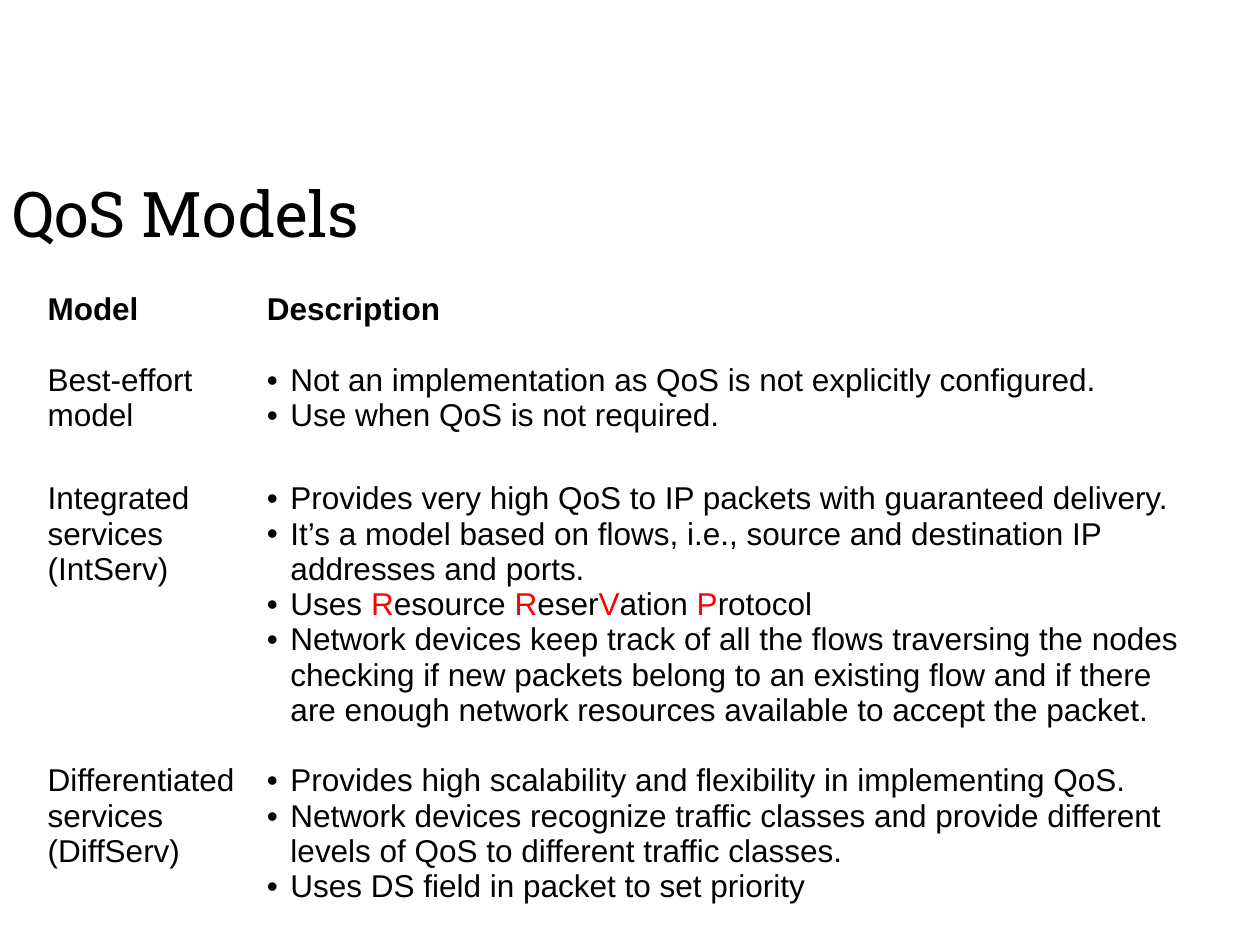
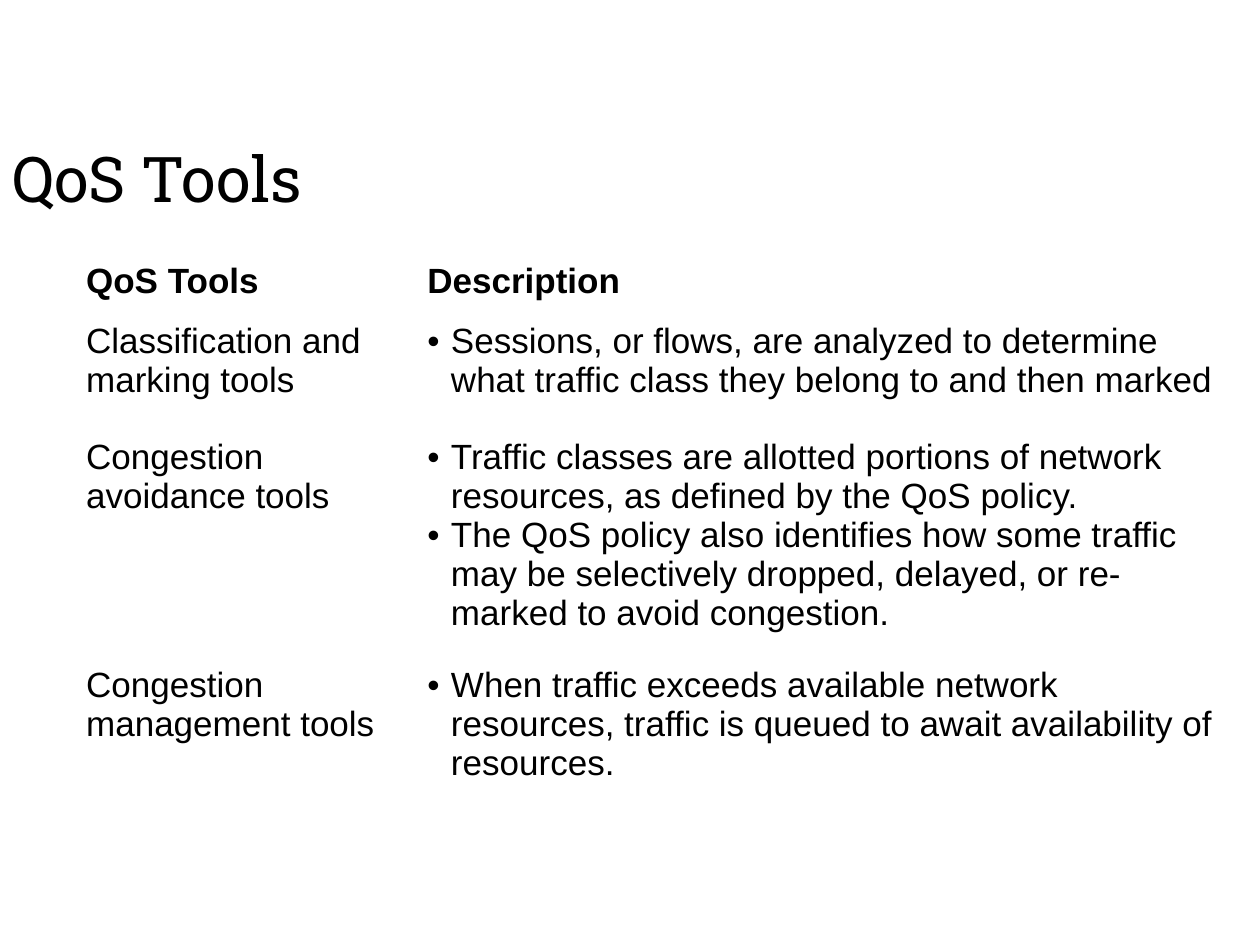
from lxml import etree
from pptx import Presentation
from pptx.dml import color
from pptx.enum import text
from pptx.oxml import ns
from pptx.util import Pt

BLACK, WHITE, RED = "000000", "FFFFFF", "FF0000"
TITLE_FONT, BODY_FONT = "Roboto Slab", "Arial"
TITLE_SIZE = 36
BULLET_INDENT = 13.5
BORDER_SIDES = ("lnL", "lnR", "lnT", "lnB")

MODELS = [
    ("Best-effort model", [
        "Not an implementation as QoS is not explicitly configured.",
        "Use when QoS is not required."]),
    ("Integrated services (IntServ)", [
        "Provides very high QoS to IP packets with guaranteed delivery.",
        "It’s a model based on flows, i.e., source and destination IP addresses and ports.",
        "Uses |R|esource |R|eser|V|ation |P|rotocol",
        "Network devices keep track of all the flows traversing the nodes checking if new "
        "packets belong to an existing flow and if there are enough network resources "
        "available to accept the packet."]),
    ("Differentiated services (DiffServ)", [
        "Provides high scalability and flexibility in implementing QoS.",
        "Network devices recognize traffic classes and provide different levels of QoS to "
        "different traffic classes.",
        "Uses DS field in packet to set priority"]),
]
TOOLS = [
    ("Classification and marking tools", [
        "Sessions, or flows, are analyzed to determine what traffic class they belong to "
        "and then marked"]),
    ("Congestion avoidance tools", [
        "Traffic classes are allotted portions of network resources, as defined by the "
        "QoS policy.",
        "The QoS policy also identifies how some traffic may be selectively dropped, "
        "delayed, or re-marked to avoid congestion."]),
    ("Congestion management tools", [
        "When traffic exceeds available network resources, traffic is queued to await "
        "availability of resources."]),
]


def rgb(hex_string):
    """Return the colour for a hex string."""
    return color.RGBColor.from_string(hex_string)


def add_child(parent, tag, **attributes):
    """Append a drawing element with the given attributes."""
    child = etree.SubElement(parent, ns.qn(f"a:{tag}"))
    for name, value in attributes.items():
        child.set(name, str(value))
    return child


def format_run(run, font, size, hex_color=BLACK, bold=False):
    """Set the font, size, colour and weight of a run."""
    run.font.name = font
    run.font.size = Pt(size)
    run.font.bold = bold
    run.font.color.rgb = rgb(hex_color)


def add_title(slide, title, top):
    """Add the slide title, centred vertically in its box."""
    shape = slide.shapes.add_textbox(0, Pt(top), Pt(657.4), Pt(77))
    frame = shape.text_frame
    frame.word_wrap = True
    frame.vertical_anchor = text.MSO_ANCHOR.MIDDLE
    frame.text = title
    format_run(frame.paragraphs[0].runs[0], TITLE_FONT, TITLE_SIZE)


def add_bullet(paragraph):
    """Give a paragraph a round bullet with a hanging indent."""
    properties = paragraph._p.get_or_add_pPr()
    properties.set("marL", str(Pt(BULLET_INDENT)))
    properties.set("indent", str(Pt(-BULLET_INDENT)))
    add_child(properties, "buFont", typeface=BODY_FONT)
    add_child(properties, "buChar", char="•")


def style_cell(cell, header):
    """Set the margins, white borders and white fill of a cell."""
    cell.margin_left = cell.margin_right = Pt(7.2)
    cell.margin_top = cell.margin_bottom = Pt(5)
    properties = cell._tc.get_or_add_tcPr()
    for side in BORDER_SIDES:
        width = 3 if header and side == "lnB" else 1
        line = add_child(properties, side, w=Pt(width))
        add_child(add_child(line, "solidFill"), "srgbClr", val=WHITE)
    cell.fill.solid()
    cell.fill.fore_color.rgb = rgb(WHITE)


def fill_cell(cell, lines, size, header=False, bullets=False):
    """Write lines into a cell; text between bars is red."""
    style_cell(cell, header)
    frame = cell.text_frame
    for index, line in enumerate(lines):
        paragraph = frame.add_paragraph() if index else frame.paragraphs[0]
        if bullets:
            add_bullet(paragraph)
        for part_index, part in enumerate(line.split("|")):
            run = paragraph.add_run()
            run.text = part
            format_run(run, BODY_FONT, size, RED if part_index % 2 else BLACK, header)


def add_description_table(slide, position, widths, heights, size, heading, entries):
    """Add a table of names with bulleted descriptions."""
    left, top = position
    frame = slide.shapes.add_table(len(heights), len(widths), Pt(left), Pt(top),
                                   Pt(sum(widths)), Pt(sum(heights)))
    table = frame.table
    table.first_row = table.horz_banding = False
    for column, width in zip(table.columns, widths):
        column.width = Pt(width)
    for row, height in zip(table.rows, heights):
        row.height = Pt(height)
    for index, label in enumerate((heading, "Description")):
        fill_cell(table.cell(0, index), [label], size, header=True)
    for index, (name, descriptions) in enumerate(entries, start=1):
        fill_cell(table.cell(index, 0), [name], size)
        fill_cell(table.cell(index, 1), descriptions, size, bullets=True)


def main():
    """Build and save the presentation."""
    presentation = Presentation()
    presentation.slide_width, presentation.slide_height = Pt(720), Pt(540)
    blank = presentation.slide_layouts[6]

    slide = presentation.slides.add_slide(blank)
    add_title(slide, "QoS Models", 82.8)
    add_description_table(slide, (20, 162), (125.3, 549.4), (40.3, 67.7, 149, 94.3),
                          18, "Model", MODELS)

    slide = presentation.slides.add_slide(blank)
    add_title(slide, "QoS Tools", 62.6)
    add_description_table(slide, (42, 144.7), (195, 463.7), (31.9, 66.3, 130.3, 99.4),
                          20, "QoS Tools", TOOLS)

    presentation.save("out.pptx")


if __name__ == "__main__":
    main()
